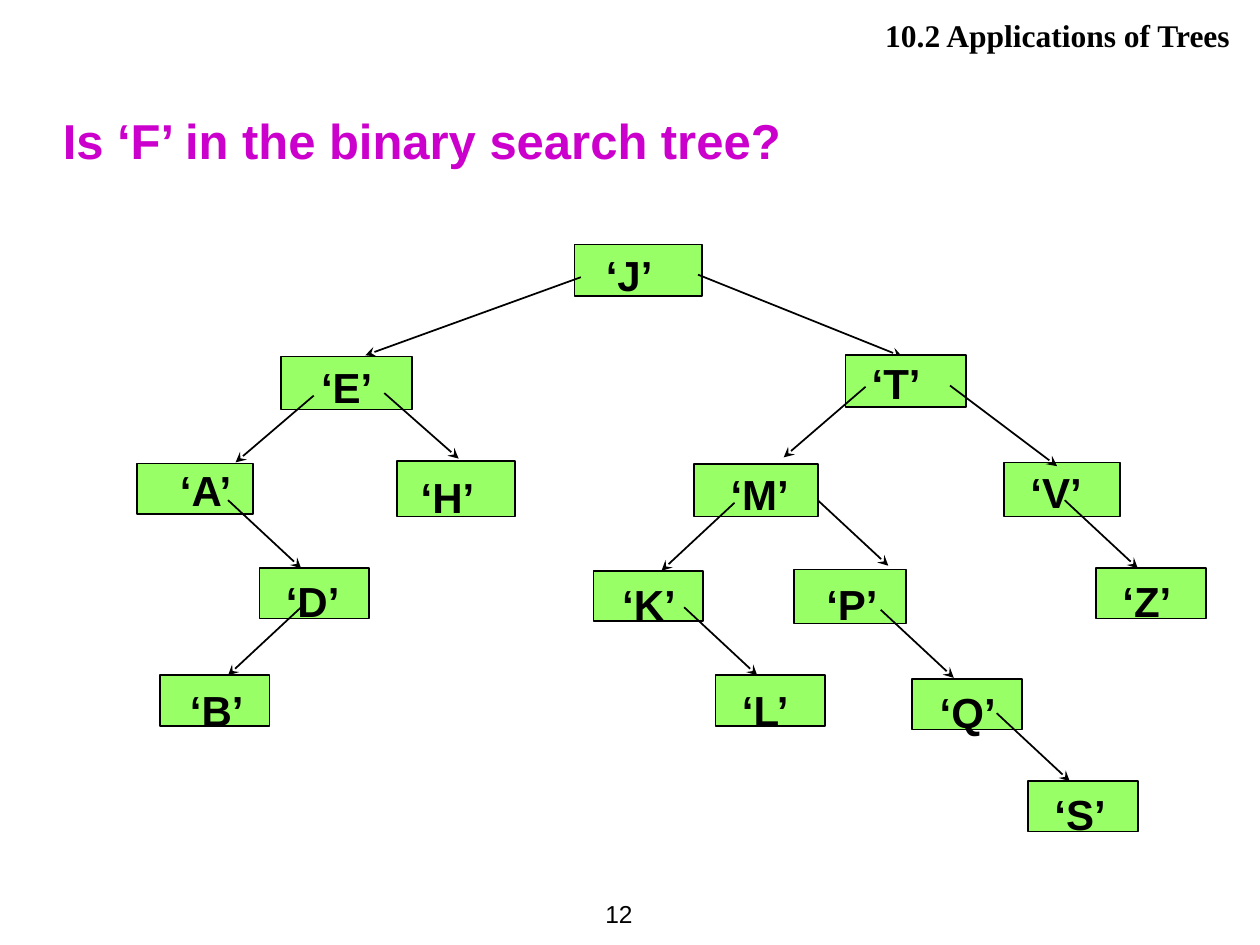
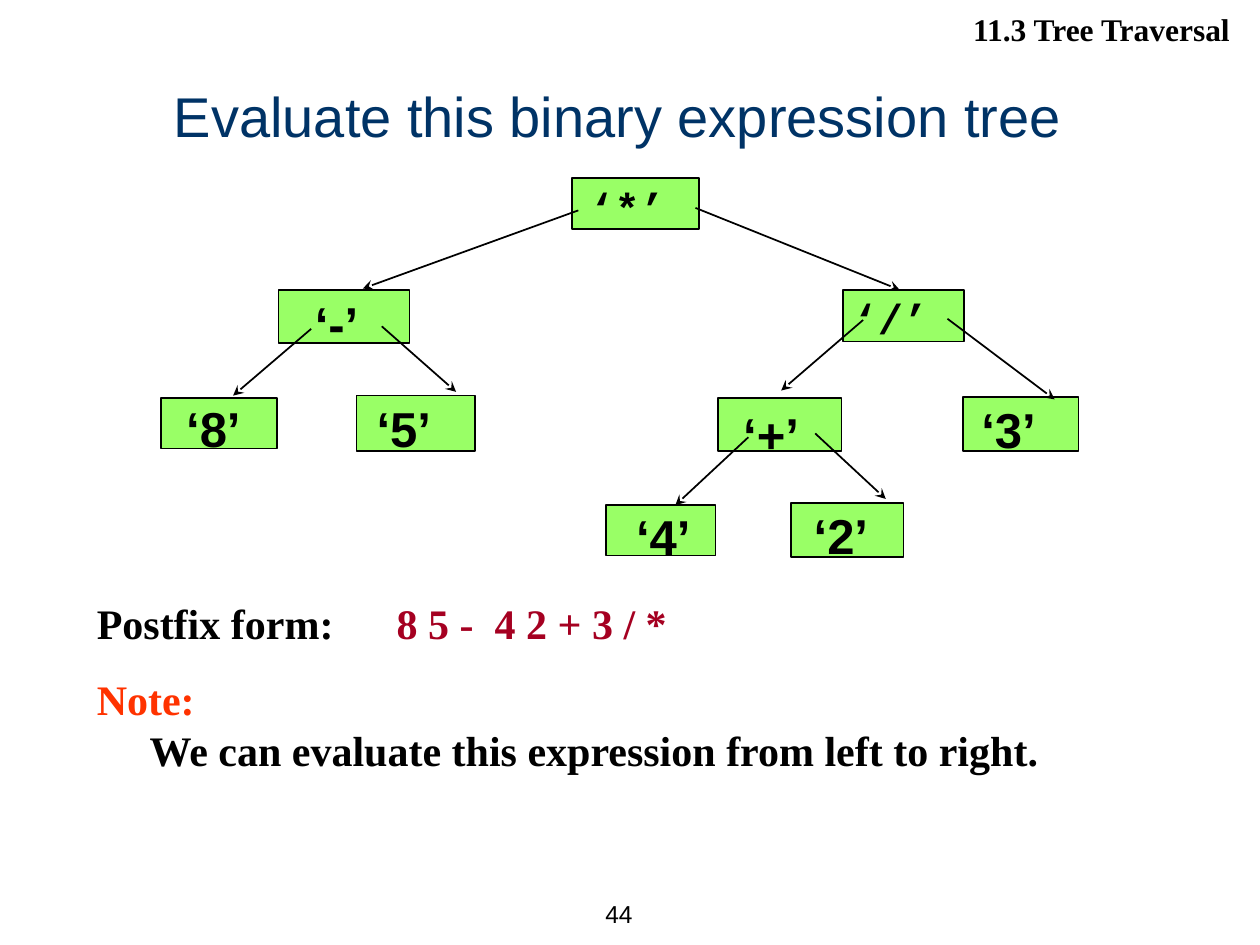
from lxml import etree
from pptx import Presentation
from pptx.dml.color import RGBColor
from pptx.enum.shapes import MSO_CONNECTOR, MSO_SHAPE
from pptx.enum.text import MSO_ANCHOR, PP_ALIGN
from pptx.oxml.ns import qn
from pptx.util import Inches, Pt

RECTANGLE = MSO_SHAPE.RECTANGLE
STRAIGHT = MSO_CONNECTOR.STRAIGHT
LEFT, CENTER, RIGHT = PP_ALIGN.LEFT, PP_ALIGN.CENTER, PP_ALIGN.RIGHT
TOP, MIDDLE, BOTTOM = MSO_ANCHOR.TOP, MSO_ANCHOR.MIDDLE, MSO_ANCHOR.BOTTOM

COLORS = {
    "ink": "000000",
    "node": "99FF66",
    "question": "CC00CC",
    "heading": "003366",
    "postfix": "A50021",
    "note": "FF3300",
}
SANS, SERIF, MONO = "Arial", "Times New Roman", "Courier New"

# Parent point, then child point, of the edges both trees have in common.
ROOT_EDGES = [
    (4.61, 2.2, 2.9, 2.82),
    (5.54, 2.18, 7.16, 2.83),
    (2.49, 3.14, 1.87, 3.67),
    (3.05, 3.12, 3.64, 3.64),
]
RIGHT_EDGES = [
    (6.87, 3.07, 6.22, 3.63),
    (7.54, 3.06, 8.39, 3.7),
    (6.49, 3.97, 7.05, 4.49),
]
EDGE_RUN, EDGE_DROP = 0.58, 0.54

# Symbol, box left, top, width, height, then label left, top, width.
SEARCH_LEFT = [
    ("J", 4.56, 1.94, 1.01, 0.41, 4.71, 1.93, 0.57),
    ("E", 2.23, 2.83, 1.04, 0.42, 2.45, 2.82, 0.61),
    ("A", 1.09, 3.68, 0.92, 0.4, 1.33, 3.64, 0.63),
    ("H", 3.15, 3.66, 0.94, 0.44, 3.24, 3.69, 0.63),
    ("D", 2.06, 4.51, 0.87, 0.4, 2.17, 4.52, 0.63),
    ("B", 1.27, 5.36, 0.87, 0.4, 1.41, 5.38, 0.63),
]
SEARCH_RIGHT = [
    ("T", 6.71, 2.82, 0.96, 0.41, 6.82, 2.79, 0.59),
    ("M", 5.51, 3.68, 0.98, 0.42, 5.7, 3.67, 0.67),
    ("V", 7.97, 3.67, 0.92, 0.43, 8.08, 3.65, 0.61),
    ("P", 6.3, 4.52, 0.89, 0.43, 6.46, 4.54, 0.61),
    ("K", 4.71, 4.53, 0.87, 0.4, 4.84, 4.54, 0.63),
    ("Z", 8.7, 4.51, 0.87, 0.4, 8.81, 4.52, 0.59),
    ("Q", 7.24, 5.39, 0.87, 0.4, 7.36, 5.4, 0.65),
    ("L", 5.68, 5.36, 0.87, 0.4, 5.79, 5.38, 0.59),
    ("S", 8.16, 6.2, 0.87, 0.4, 8.27, 6.21, 0.61),
]
EXPRESSION_LEFT = [
    ("*", 4.54, 1.41, 1.01, 0.41, 4.58, 1.39, 0.8),
    ("-", 2.21, 2.3, 1.04, 0.42, 2.4, 2.28, 0.55),
    ("8", 1.28, 3.16, 0.92, 0.4, 1.38, 3.11, 0.63),
    ("5", 2.83, 3.14, 0.94, 0.44, 2.89, 3.11, 0.63),
]
EXPRESSION_RIGHT = [
    ("/", 6.69, 2.3, 0.96, 0.41, 6.67, 2.27, 0.8),
    ("+", 5.7, 3.16, 0.98, 0.42, 5.8, 3.16, 0.65),
    ("3", 7.64, 3.15, 0.92, 0.43, 7.69, 3.12, 0.63),
    ("4", 4.81, 4.01, 0.87, 0.4, 4.95, 3.97, 0.63),
    ("2", 6.28, 3.99, 0.89, 0.43, 6.36, 3.96, 0.63),
]


def rgb(name):
    return RGBColor.from_string(COLORS[name])


def format_run(run, size, font, color="ink", bold=False):
    run.font.size = Pt(size)
    run.font.name = font
    run.font.bold = bold
    run.font.color.rgb = rgb(color)


def add_text(slide, text, box, size, font, color="ink", bold=False,
             align=LEFT, anchor=TOP, wrap=True):
    frame = slide.shapes.add_textbox(*map(Inches, box)).text_frame
    frame.word_wrap = wrap
    frame.vertical_anchor = anchor
    frame.text = text
    for paragraph in frame.paragraphs:
        paragraph.alignment = align
        for run in paragraph.runs:
            format_run(run, size, font, color, bold)
    return frame


def add_page_frame(slide, section, section_top, number):
    add_text(slide, section, (3.98, section_top, 5.88, 0.4), 18, SERIF,
             bold=True, align=RIGHT)
    add_text(slide, number, (4.45, 7, 0.67, 0.5), 14, SANS,
             align=RIGHT, anchor=MIDDLE, wrap=False)


def add_node_box(slide, left, top, width, height):
    node = slide.shapes.add_shape(RECTANGLE, *map(Inches, (left, top, width, height)))
    node.shadow.inherit = False
    node.fill.solid()
    node.fill.fore_color.rgb = rgb("node")
    node.line.color.rgb = rgb("ink")
    node.line.width = Pt(1)


def add_edge(slide, points):
    edge = slide.shapes.add_connector(STRAIGHT, *map(Inches, points))
    edge.line.color.rgb = rgb("ink")
    edge.line.width = Pt(1)
    etree.SubElement(edge.line._get_or_add_ln(), qn("a:tailEnd"), type="stealth")
    etree.SubElement(edge._element.spPr, qn("a:effectLst"))


def add_subtree(slide, nodes, edges, label_size, mono_symbols=""):
    for _, left, top, width, height, *_ in nodes:
        add_node_box(slide, left, top, width, height)
    for points in edges:
        add_edge(slide, points)
    for symbol, *_, left, top, width in nodes:
        mono = symbol in mono_symbols
        size, font = (24, MONO) if mono else (label_size, SANS)
        height = 0.57 if size == 28 else 0.5
        add_text(slide, f"‘{symbol}’", (left, top, width, height), size, font,
                 bold=True, wrap=False)


def edge_down(x, y, direction=1):
    return x, y, x + direction * EDGE_RUN, y + EDGE_DROP


def shift(edges, dx, dy):
    return [(x1 + dx, y1 + dy, x2 + dx, y2 + dy) for x1, y1, x2, y2 in edges]


def add_evaluation(slide):
    frame = add_text(slide, "Postfix form:\t", (0.67, 4.69, 9.06, 1.51), 24, SERIF,
                     bold=True)
    postfix = frame.paragraphs[0]
    answer = postfix.add_run()
    answer.text = "8 5 -  4 2 + 3 / *"
    format_run(answer, 24, SERIF, "postfix", True)
    tabs = etree.SubElement(postfix._p.get_or_add_pPr(), qn("a:tabLst"))
    etree.SubElement(tabs, qn("a:tab"), pos=str(Inches(2.38)), algn="l")

    note = frame.add_paragraph()
    note.text = "Note:"
    note.space_before = Pt(15)
    format_run(note.runs[0], 24, SERIF, "note", True)

    advice = frame.add_paragraph()
    advice.text = "We can evaluate this expression from left to right."
    advice._p.get_or_add_pPr().set("marL", str(Inches(0.42)))
    format_run(advice.runs[0], 24, SERIF, bold=True)


def build_search_slide(slide):
    add_page_frame(slide, "10.2 Applications of Trees", 0.08, "12")
    add_text(slide, "Is ‘F’ in the binary search tree?", (0.4, 0.72, 9.31, 0.67),
             28, SANS, "question", True, anchor=BOTTOM)
    left_edges = [edge_down(1.81, 3.97), edge_down(2.39, 4.82, -1)]
    right_edges = [edge_down(5.83, 3.99, -1)]
    right_edges += [edge_down(x, y) for x, y in
                    [(8.45, 3.97), (6.99, 4.84), (5.43, 4.82), (7.91, 5.66)]]
    add_subtree(slide, SEARCH_LEFT, ROOT_EDGES + left_edges, 24)
    add_subtree(slide, SEARCH_RIGHT, RIGHT_EDGES + right_edges, 24)


def build_expression_slide(slide):
    add_page_frame(slide, "11.3 Tree Traversal", 0.03, "44")
    add_text(slide, "Evaluate this binary expression tree", (0.25, 0.52, 9.31, 0.71),
             32, SANS, "heading", align=CENTER, anchor=BOTTOM)
    offset = (-0.02, -0.53)
    add_subtree(slide, EXPRESSION_LEFT, shift(ROOT_EDGES, *offset), 28, "*/")
    add_subtree(slide, EXPRESSION_RIGHT,
                shift(RIGHT_EDGES, *offset) + [edge_down(5.94, 3.47, -1)], 28, "*/")
    add_evaluation(slide)


def main():
    deck = Presentation()
    deck.slide_width, deck.slide_height = Inches(10), Inches(7.5)
    blank = deck.slide_layouts[6]
    for build in (build_search_slide, build_expression_slide):
        build(deck.slides.add_slide(blank))
    deck.save("out.pptx")


if __name__ == "__main__":
    main()
